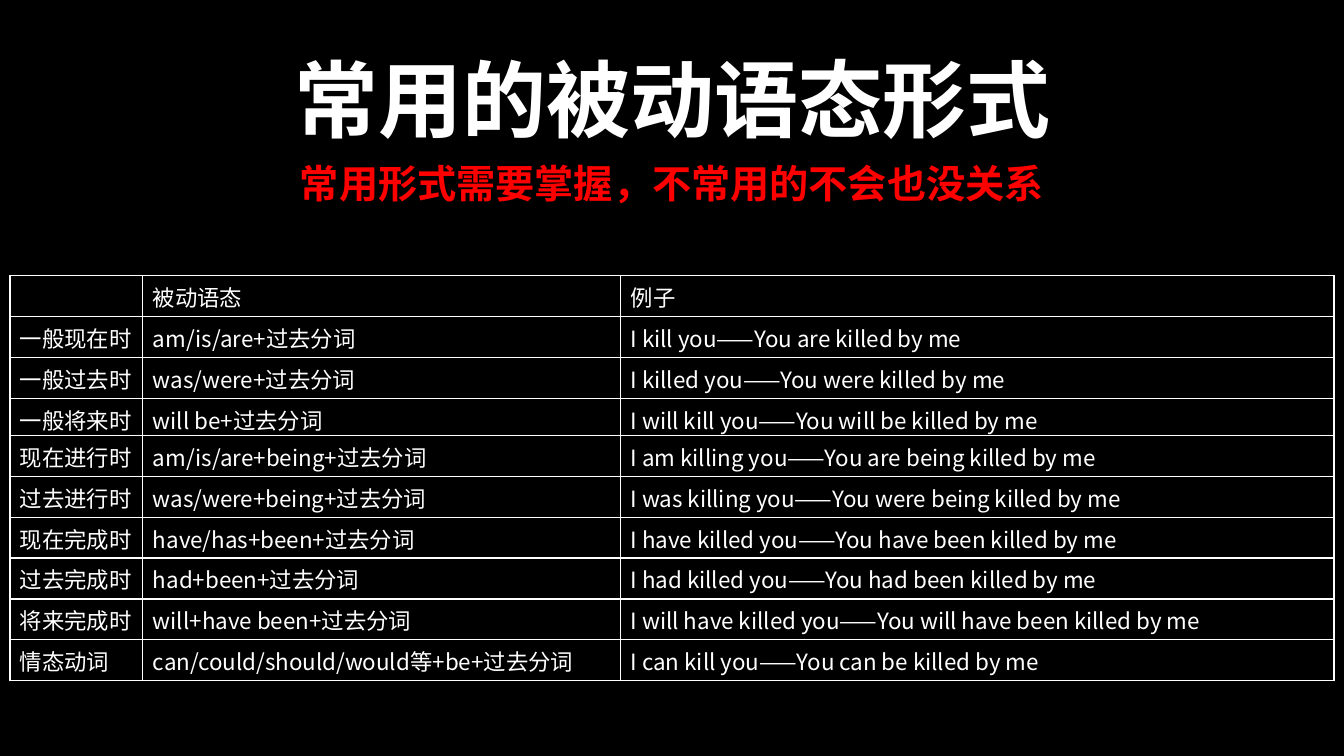
import pptx
import pptx.util
import pptx.dml.color
import pptx.enum.text
import pptx.oxml
import pptx.oxml.ns
from pptx.util import Cm

FONT = "Noto Sans CJK SC"
WHITE, RED, BLACK = "FFFFFF", "FF0000", "000000"
PARTICIPLE = "过去分词"
A_NS = pptx.oxml.ns.nsdecls("a")


def rgb(hex_color):
    return pptx.dml.color.RGBColor.from_string(hex_color)


def add_run(p, text, size, color, bold=False):
    r = p.add_run()
    r.text = text
    r.font.name = FONT
    r.font.size = pptx.util.Pt(size)
    r.font.bold = bold
    r.font.color.rgb = rgb(color)
    r.font._element.append(
        pptx.oxml.parse_xml(f'<a:ea {A_NS} typeface="{FONT}"/>'))


prs = pptx.Presentation()
prs.slide_width, prs.slide_height = Cm(33.87), Cm(19.05)
s = prs.slides.add_slide(prs.slide_layouts[6])
s.background.fill.solid()
s.background.fill.fore_color.rgb = rgb(BLACK)

# Title and subtitle
headings = [
    ("常用的被动语态形式", 60, WHITE, False, (7.06, 1.07, 19.76, 2.82)),
    ("常用形式需要掌握，不常用的不会也没关系", 28, RED, True,
     (1.32, 3.89, 31.22, 1.45)),
]
for text, size, color, wrap, box in headings:
    sp = s.shapes.add_textbox(*map(Cm, box))
    tf = sp.text_frame
    tf.word_wrap = wrap
    tf.auto_size = pptx.enum.text.MSO_AUTO_SIZE.SHAPE_TO_FIT_TEXT
    p = tf.paragraphs[0]
    p.alignment = pptx.enum.text.PP_ALIGN.CENTER
    add_run(p, text, size, color, bold=True)

# Tense table: name, passive form, example pair
tenses = [
    ("一般现在时", "am/is/are+", "I kill you——You are killed by me"),
    ("一般过去时", "was/were+", "I killed you——You were killed by me"),
    ("一般将来时", "will be+", "I will kill you——You will be killed by me"),
    ("现在进行时", "am/is/are+being+",
     "I am killing you——You are being killed by me"),
    ("过去进行时", "was/were+being+",
     "I was killing you——You were being killed by me"),
    ("现在完成时", "have/has+been+",
     "I have killed you——You have been killed by me"),
    ("过去完成时", "had+been+", "I had killed you——You had been killed by me"),
    ("将来完成时", "will+have been+",
     "I will have killed you——You will have been killed by me"),
    ("情态动词", "can/could/should/would等+be+",
     "I can kill you——You can be killed by me"),
]
rows = [("", "被动语态", "例子")]
rows += [(name, form + PARTICIPLE, example) for name, form, example in tenses]
col_widths = [3.35, 12.04, 17.98]
row_height, short_height, short_row = 1.03, 0.64, 3

table = s.shapes.add_table(len(rows), len(col_widths), Cm(0.25), Cm(6.95),
                           Cm(sum(col_widths)), Cm(10)).table
table.first_row = table.horz_banding = False
for column, width in zip(table.columns, col_widths):
    column.width = Cm(width)

for i, row in enumerate(rows):
    table.rows[i].height = Cm(short_height if i == short_row else row_height)
    for j, text in enumerate(row):
        cell = table.cell(i, j)
        cell.vertical_anchor = pptx.enum.text.MSO_ANCHOR.MIDDLE
        if text:
            add_run(cell.text_frame.paragraphs[0], text, 16, WHITE)
        # Borders come before the fill in the cell properties
        tc_pr = cell._tc.get_or_add_tcPr()
        for side in ("lnL", "lnR", "lnT", "lnB"):
            tc_pr.append(pptx.oxml.parse_xml(
                f'<a:{side} {A_NS} w="12700"><a:solidFill>'
                f'<a:srgbClr val="{WHITE}"/></a:solidFill></a:{side}>'))
        cell.fill.background()

prs.save("out.pptx")
